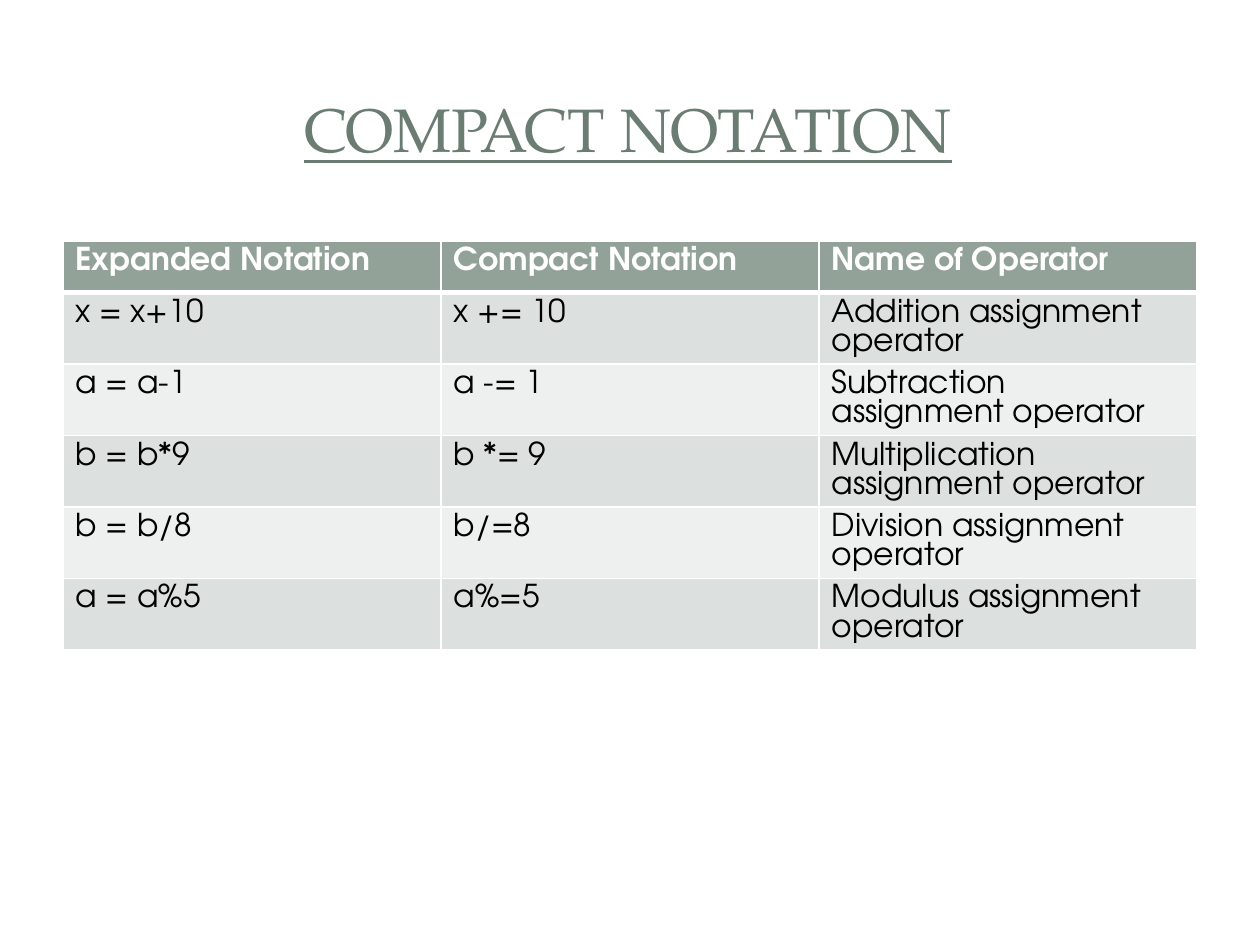
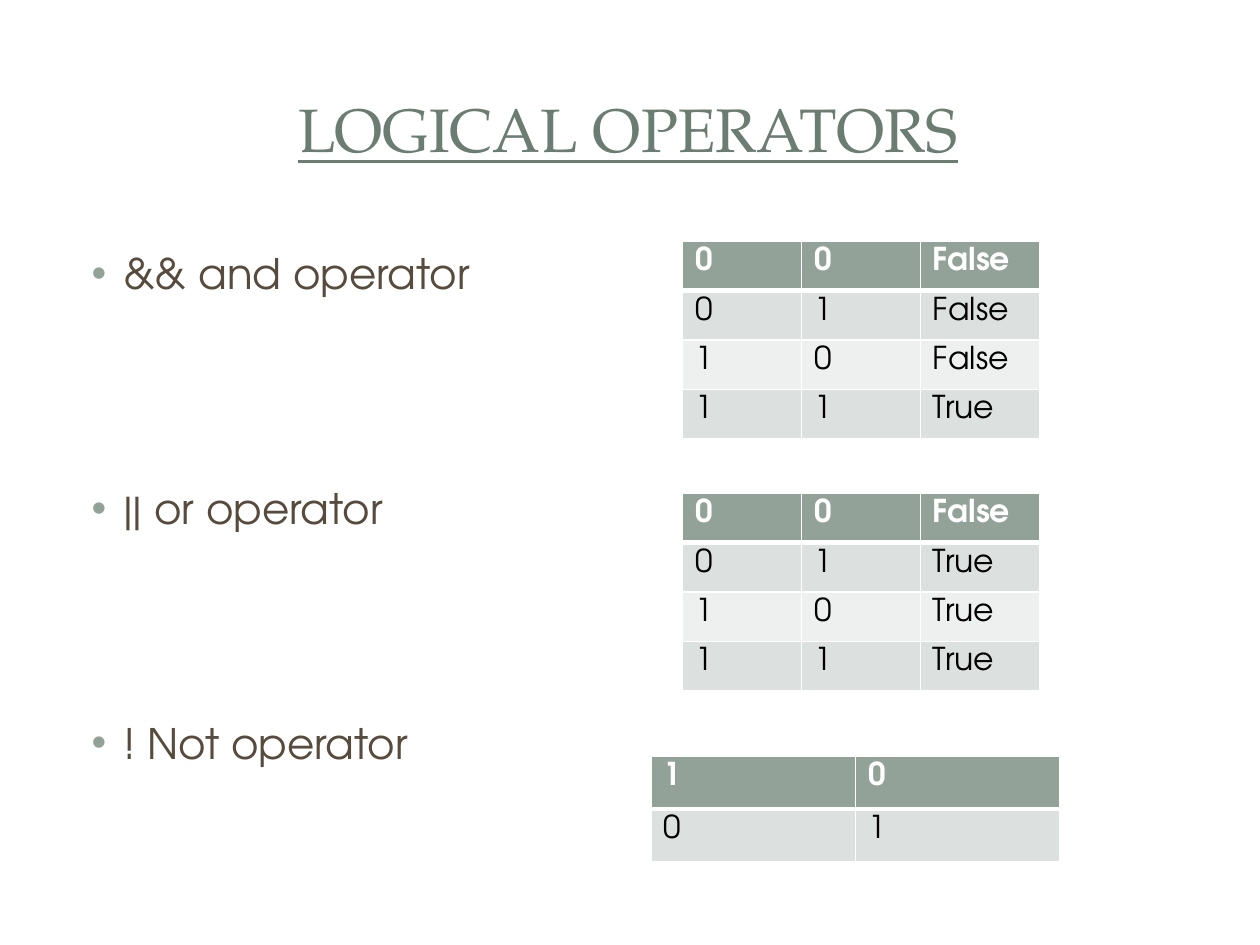
"""Build two slides on C operators: compact notation and logical operators."""
from lxml import etree
from pptx import Presentation
from pptx import util as u
from pptx.dml.color import RGBColor
from pptx.enum import shapes, text
from pptx.oxml.ns import qn

WHITE = RGBColor(0xFF, 0xFF, 0xFF)
BLACK = RGBColor(0, 0, 0)
SAGE = RGBColor(0x93, 0xA2, 0x99)
TITLE_GREEN = RGBColor(0x6B, 0x7D, 0x72)
BROWN = RGBColor(0x56, 0x4B, 0x3C)
BANDS = (RGBColor(0xDC, 0xE0, 0xDE), RGBColor(0xEE, 0xF0, 0xEF))

TITLE_FONT = {"name": "TeX Gyre Pagella", "size": u.Pt(35), "underline": True}
BODY_FONT = {"name": "TeX Gyre Adventor", "size": u.Pt(24)}
HEADER_FONT = {"name": "TeX Gyre Adventor", "size": u.Pt(18), "bold": True}
CELL_FONT = {**HEADER_FONT, "bold": False}

ROUNDED = shapes.MSO_SHAPE.ROUNDED_RECTANGLE
PLAIN = shapes.MSO_SHAPE.RECTANGLE
PANELS = [
    {"kind": ROUNDED, "box": (7.2, 7.92, 705.6, 524.88), "rounding": 0.017},
    {"kind": PLAIN, "box": (21.6, 21.6, 676.8, 104.4), "opacity": 83},
    {"kind": PLAIN, "box": (29.52, 29.52, 660.24, 87.84)},
]
TITLE_BOX = (33.84, 32, 650.16, 82)
BODY_BOX = (35.8, 137.9, 648, 344.16)
FIRST_GAP, BULLET_GAP = 5, 105.3
TOP = 137.9
THIN, THICK = 1, 3

SLIDES = [
    {
        "title": "COMPACT NOTATION",
        "bullets": [],
        "tables": [
            {"at": (36, TOP), "column": 216, "row": 29.2, "cells": [
                ("Expanded Notation", "Compact Notation", "Name of Operator"),
                ("x = x+10", "x += 10", "Addition assignment operator"),
                ("a = a-1", "a -= 1", "Subtraction assignment operator"),
                ("b = b*9", "b *= 9", "Multiplication assignment operator"),
                ("b = b/8", "b/=8", "Division assignment operator"),
                ("a = a%5", "a%=5", "Modulus assignment operator"),
            ]},
        ],
    },
    {
        "title": "LOGICAL OPERATORS",
        "bullets": ["&& and operator", "|| or operator", "! Not operator"],
        "tables": [
            {"at": (390, TOP), "column": 68, "row": 28.2, "cells": [
                ("0", "0", "False"), ("0", "1", "False"),
                ("1", "0", "False"), ("1", "1", "True"),
            ]},
            {"at": (390, TOP + 144), "column": 68, "row": 28.2, "cells": [
                ("0", "0", "False"), ("0", "1", "True"),
                ("1", "0", "True"), ("1", "1", "True"),
            ]},
            {"at": (372, 432), "column": 116.9, "row": 30.2, "cells": [
                ("1", "0"), ("0", "1"),
            ]},
        ],
    },
]


def apply_format(target, values):
    for name, value in values.items():
        setattr(target, name, value)


def write(paragraph, wording, font, colour):
    run = paragraph.add_run()
    run.text = wording
    apply_format(run.font, font)
    run.font.color.rgb = colour


def place(shape, box):
    apply_format(shape, dict(zip(("left", "top", "width", "height"), map(u.Pt, box))))
    apply_format(shape.text_frame, {"word_wrap": True, "auto_size": text.MSO_AUTO_SIZE.NONE})


def add_colour(parent, tag, colour):
    element = etree.SubElement(parent, qn(tag))
    etree.SubElement(element, qn("a:srgbClr"), val=str(colour))


def add_panel(slide, position, kind, box, rounding=None, opacity=None):
    panel = slide.shapes.add_shape(kind, *map(u.Pt, box))
    panel.shadow.inherit = False
    panel.fill.solid()
    panel.fill.fore_color.rgb = WHITE
    panel.line.fill.background()
    if rounding:
        panel.adjustments[0] = rounding
    if opacity:
        colour = panel.fill._xPr.find(qn("a:solidFill"))[0]
        etree.SubElement(colour, qn("a:alpha"), val=str(opacity * 1000))
    slide.shapes._spTree.insert(2 + position, panel._element)


def add_title(slide, wording):
    title = slide.shapes.title
    place(title, TITLE_BOX)
    title.text_frame.vertical_anchor = text.MSO_ANCHOR.MIDDLE
    paragraph = title.text_frame.paragraphs[0]
    paragraph.alignment = text.PP_ALIGN.CENTER
    write(paragraph, wording, TITLE_FONT, TITLE_GREEN)


def add_bullets(slide, bullets):
    body = slide.placeholders[1]
    place(body, BODY_BOX)
    frame = body.text_frame
    for index, wording in enumerate(bullets):
        paragraph = frame.add_paragraph() if index else frame.paragraphs[0]
        paragraph.space_before = u.Pt(BULLET_GAP if index else FIRST_GAP)
        write(paragraph, wording, BODY_FONT, BROWN)
        properties = paragraph._p.get_or_add_pPr()
        properties.set("marL", str(u.Pt(27.36)))
        properties.set("indent", str(u.Pt(-18)))
        add_colour(properties, "a:buClr", SAGE)
        etree.SubElement(properties, qn("a:buChar"), char="•")


def add_borders(cell, row):
    properties = cell._tc.get_or_add_tcPr()
    widths = {"L": THIN, "R": THIN, "T": THICK if row == 1 else THIN,
              "B": THICK if row == 0 else THIN}
    for side, width in widths.items():
        line = etree.SubElement(properties, qn(f"a:ln{side}"), w=str(u.Pt(width)))
        add_colour(line, "a:solidFill", WHITE)


def add_table(slide, at, column, row, cells):
    rows, columns = len(cells), len(cells[0])
    lengths = (*at, column * columns, row * rows)
    table = slide.shapes.add_table(rows, columns, *map(u.Pt, lengths)).table
    for row_index, wordings in enumerate(cells):
        header = row_index == 0
        for column_index, wording in enumerate(wordings):
            cell = table.cell(row_index, column_index)
            add_borders(cell, row_index)
            cell.fill.solid()
            cell.fill.fore_color.rgb = SAGE if header else BANDS[(row_index - 1) % 2]
            write(cell.text_frame.paragraphs[0], wording,
                  HEADER_FONT if header else CELL_FONT, WHITE if header else BLACK)


presentation = Presentation()
apply_format(presentation, {"slide_width": u.Pt(720), "slide_height": u.Pt(540)})
for content in SLIDES:
    layout = presentation.slide_layouts[1 if content["bullets"] else 5]
    slide = presentation.slides.add_slide(layout)
    for position, panel in enumerate(PANELS):
        add_panel(slide, position, **panel)
    add_title(slide, content["title"])
    if content["bullets"]:
        add_bullets(slide, content["bullets"])
    for table in content["tables"]:
        add_table(slide, **table)
presentation.save("out.pptx")
